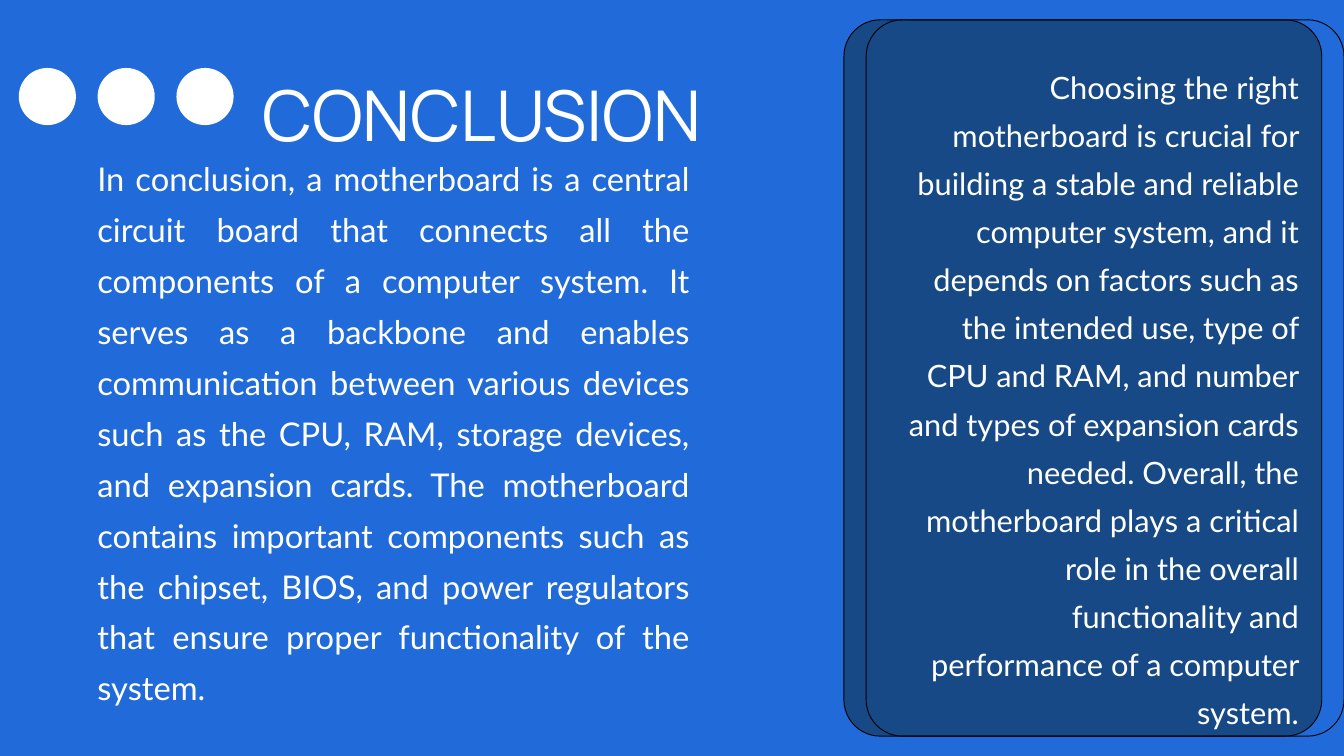
"""Build the conclusion slide about motherboards."""
import pptx
import pptx.dml.color
import pptx.enum.shapes
import pptx.enum.text
import pptx.util

Cm = pptx.util.Cm
Align = pptx.enum.text.PP_ALIGN
Shape = pptx.enum.shapes.MSO_SHAPE


def color(value):
    return pptx.dml.color.RGBColor.from_string(value)


def add_text(box, text, font, size, align, spacing, insets=(0, 0)):
    frame = slide.shapes.add_textbox(*map(Cm, box)).text_frame
    frame.word_wrap = True
    frame.auto_size = pptx.enum.text.MSO_AUTO_SIZE.SHAPE_TO_FIT_TEXT
    frame.margin_left = frame.margin_right = Cm(insets[0])
    frame.margin_top = frame.margin_bottom = Cm(insets[1])
    frame.text = text
    paragraph = frame.paragraphs[0]
    paragraph.alignment = align
    paragraph.line_spacing = spacing
    run = paragraph.runs[0]
    run.font.name = font
    run.font.size = pptx.util.Pt(size)
    run.font.color.rgb = color("FFFFFF")


deck = pptx.Presentation()
deck.slide_width, deck.slide_height = Cm(50.8), Cm(28.58)
slide = deck.slides.add_slide(deck.slide_layouts[6])
slide.background.fill.solid()
slide.background.fill.fore_color.rgb = color("216AD9")

for left, panel_fill in ((31.9, "164985"), (32.74, None)):
    panel = slide.shapes.add_shape(
        Shape.ROUNDED_RECTANGLE, Cm(left), Cm(0.75), Cm(18.06), Cm(27.08))
    panel.adjustments[0] = 0.076
    panel.shadow.inherit = False
    if panel_fill:
        panel.fill.solid()
        panel.fill.fore_color.rgb = color(panel_fill)
    else:
        panel.fill.background()
    panel.line.color.rgb = color("000000")
    panel.line.width = pptx.util.Pt(1)

add_text((9.91, 2.06, 20.45, 3.2), "CONCLUSION", "Manrope", 75, Align.LEFT, 1.2)

add_text(
    (3.68, 5.56, 22.4, 20.96),
    "In conclusion, a motherboard is a central circuit board that connects all "
    "the components of a computer system. It serves as a backbone and enables "
    "communication between various devices such as the CPU, RAM, storage "
    "devices, and expansion cards. The motherboard contains important "
    "components such as the chipset, BIOS, and power regulators that ensure "
    "proper functionality of the system.",
    "Lato", 35, Align.JUSTIFY, 1.3)

for position in range(3):
    dot = slide.shapes.add_shape(
        Shape.OVAL, Cm(0.71 + 2.98 * position), Cm(2.57), Cm(2.16), Cm(2.16))
    dot.shadow.inherit = False
    dot.fill.solid()
    dot.fill.fore_color.rgb = color("FFFFFF")
    dot.line.fill.background()

add_text(
    (33.6, 2.06, 15.75, 25.5),
    "Choosing the right motherboard is crucial for building a stable and "
    "reliable computer system, and it depends on factors such as the intended "
    "use, type of CPU and RAM, and number and types of expansion cards needed. "
    "Overall, the motherboard plays a critical role in the overall "
    "functionality and performance of a computer system.",
    "Lato", 33, Align.RIGHT, 1.3, (0.25, 0.13))

deck.save("out.pptx")
